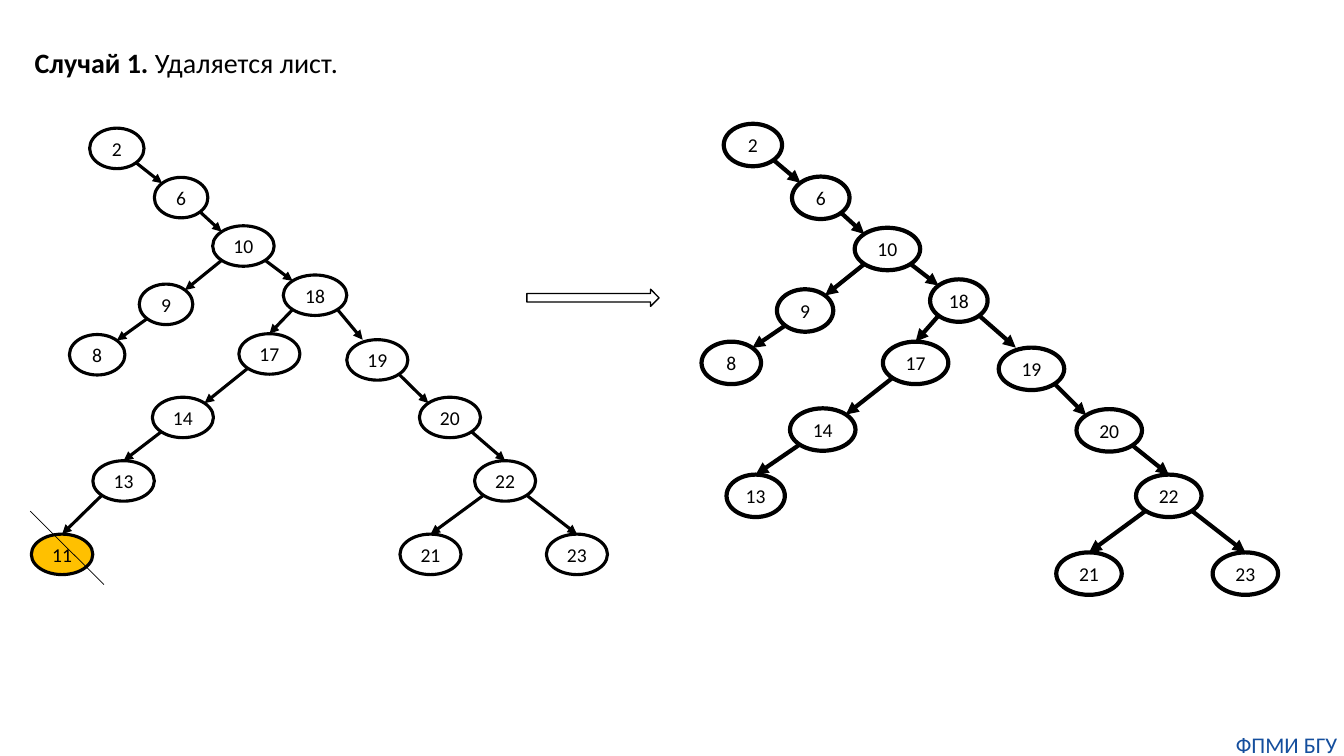
"""Build a slide showing the deletion of a leaf from a binary search tree."""
from dataclasses import dataclass
from math import sqrt

from lxml.etree import SubElement
from pptx import Presentation
from pptx.dml.color import RGBColor
from pptx.enum.shapes import MSO_CONNECTOR as Link, MSO_SHAPE as Preset
from pptx.enum.text import MSO_ANCHOR as Anchor, PP_ALIGN as Align
from pptx.oxml.ns import qn
from pptx.util import Cm, Pt

TITLE = (("Случай 1.", True), (" Удаляется лист.", False))
FOOTER = "ФПМИ БГУ"
REMOVED = 11

PARENTS = {9: 10, 8: 9, 17: 18, 11: 13, 14: 17, 13: 14, 6: 2, 18: 10,
           10: 6, 19: 18, 20: 19, 22: 20, 21: 22, 23: 22}
ENTERED_AT_TOP = {17, 13, 11, 22, 21, 23}
ENTRY_SHIFTS = {19: (0.26, 0)}

BEFORE = {
    10: (5.36, 5.69, 1.55), 18: (7.14, 6.93, 1.6), 23: (13.77, 13.46, 1.54),
    21: (10.08, 13.46, 1.54), 22: (11.96, 11.61, 1.54), 20: (10.57, 10.01, 1.54),
    19: (8.74, 8.56, 1.54), 11: (0.79, 13.46, 1.55), 13: (2.34, 11.61, 1.55),
    14: (3.84, 10.01, 1.54), 17: (6.02, 8.41, 1.54), 6: (3.89, 4.47, 1.35),
    8: (1.75, 8.43, 1.4), 9: (3.51, 7.16, 1.35), 2: (2.26, 3.23, 1.37),
}
AFTER = {
    10: (21.54, 5.74, 1.65), 18: (23.44, 7.04, 1.45), 23: (30.56, 13.92, 1.65),
    21: (26.62, 13.92, 1.65), 22: (28.63, 11.96, 1.65), 20: (27.13, 10.31, 1.65),
    19: (25.17, 8.76, 1.65), 13: (18.31, 11.96, 1.47), 14: (19.91, 10.29, 1.65),
    17: (22.25, 8.61, 1.65), 6: (19.96, 4.45, 1.45), 8: (17.68, 8.61, 1.5),
    9: (19.58, 7.29, 1.42), 2: (18.24, 3.12, 1.47),
}
TREES = ((BEFORE, 1.02, 2.25), (AFTER, 1.07, 3))


@dataclass(frozen=True)
class Theme:
    """Colours, font and type sizes in points."""
    ink: RGBColor = RGBColor(0, 0, 0)
    removed: RGBColor = RGBColor(0xFF, 0xC0, 0x00)
    footer: RGBColor = RGBColor(0x14, 0x4E, 0x9D)
    font: str = "Calibri"
    title_size: int = 20
    footer_size: int = 16
    node_size: int = 14


THEME = Theme()
NEAR = (1 - sqrt(0.5)) / 2
FAR = 1 - NEAR


def style_text(paragraph, size, color):
    """Centre a paragraph and set its font."""
    paragraph.alignment = Align.CENTER
    font = paragraph.font
    font.name, font.size = THEME.font, Pt(size)
    font.color.rgb = color


def clear_insets(frame):
    """Remove the inner margins of a text frame."""
    frame.margin_left = frame.margin_right = frame.margin_top = frame.margin_bottom = 0


def draw_outline(shapes, preset, box, weight):
    """Add an unfilled shape with an ink outline."""
    shape = shapes.add_shape(preset, *map(Cm, box))
    shape.shadow.inherit = False
    shape.fill.background()
    shape.line.color.rgb = THEME.ink
    shape.line.width = Pt(weight)
    return shape


def draw_line(shapes, start, end, weight, arrow=False):
    """Add a straight line, with an arrowhead at its end on request."""
    line = shapes.add_connector(Link.STRAIGHT, *map(Cm, (*start, *end)))
    line.line.color.rgb = THEME.ink
    line.line.width = Pt(weight)
    if arrow:
        SubElement(line.line._get_or_add_ln(), qn("a:tailEnd"), type="triangle")
    SubElement(line._element.spPr, qn("a:effectLst"))
    return line


def draw_node(shapes, value, box, weight):
    """Add one tree node."""
    node = draw_outline(shapes, Preset.OVAL, box, weight)
    if value == REMOVED:
        node.fill.solid()
        node.fill.fore_color.rgb = THEME.removed
    frame = node.text_frame
    clear_insets(frame)
    frame.word_wrap = False
    frame.vertical_anchor = Anchor.MIDDLE
    frame.text = str(value)
    style_text(frame.paragraphs[0], THEME.node_size, THEME.ink)
    return node


def point_on(box, across, down):
    """Return the point at the given fractions of a box."""
    left, top, width, height = box
    return left + across * width, top + down * height


def draw_tree(slide, places, height, weight):
    """Add a tree: its nodes, then an arrow from each parent to its child."""
    shapes = slide.shapes.add_group_shape().shapes
    boxes = {value: (*place, height) for value, place in places.items()}
    nodes = {value: draw_node(shapes, value, box, weight) for value, box in boxes.items()}
    for child, parent in PARENTS.items():
        if child not in boxes:
            continue
        leave, enter = (NEAR, FAR) if child < parent else (FAR, NEAR)
        at_top = child in ENTERED_AT_TOP
        entry = (0.5, 0) if at_top else ENTRY_SHIFTS.get(child, (enter, NEAR))
        edge = draw_line(shapes, point_on(boxes[parent], leave, FAR),
                         point_on(boxes[child], *entry), weight, arrow=True)
        if at_top:
            edge.end_connect(nodes[child], 0)


def main():
    """Compose and save the slide."""
    deck = Presentation()
    deck.slide_width, deck.slide_height = Cm(33.87), Cm(19.05)
    slide = deck.slides.add_slide(deck.slide_layouts[6])

    for places, height, weight in TREES:
        draw_tree(slide, places, height, weight)
    draw_outline(slide.shapes, Preset.RIGHT_ARROW, (13.28, 7.29, 3.33, 0.43), 1)
    draw_line(slide.shapes, (0.76, 12.88), (2.62, 14.73), 0.5)

    footer = slide.shapes.add_textbox(*map(Cm, (30.99, 18.42, 2.87, 0.69))).text_frame
    clear_insets(footer)
    footer.word_wrap = True
    footer.text = FOOTER
    style_text(footer.paragraphs[0], THEME.footer_size, THEME.footer)

    title = slide.shapes.add_textbox(*map(Cm, (0.58, 1.02, 8.23, 1.12))).text_frame
    title.word_wrap = False
    heading = title.paragraphs[0]
    style_text(heading, THEME.title_size, THEME.ink)
    for words, bold in TITLE:
        run = heading.add_run()
        run.text, run.font.bold = words, bold

    deck.save("out.pptx")


if __name__ == "__main__":
    main()
